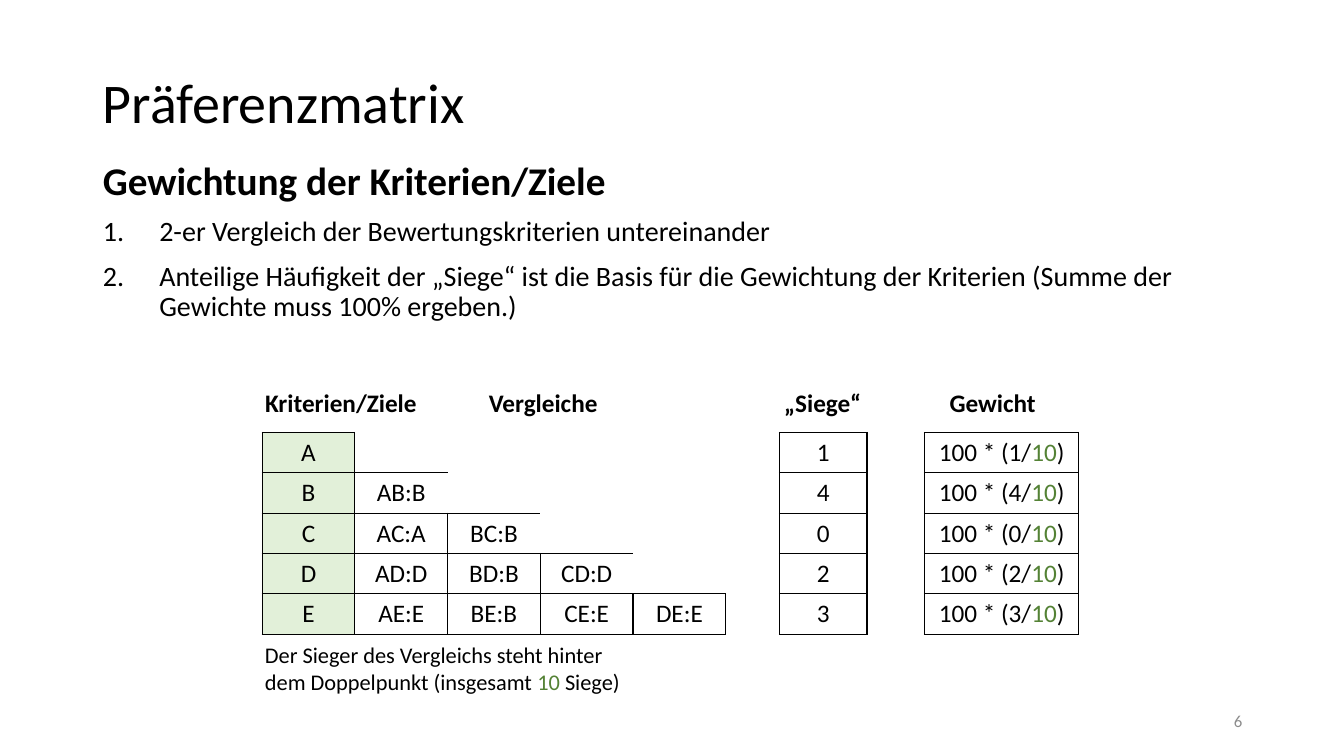
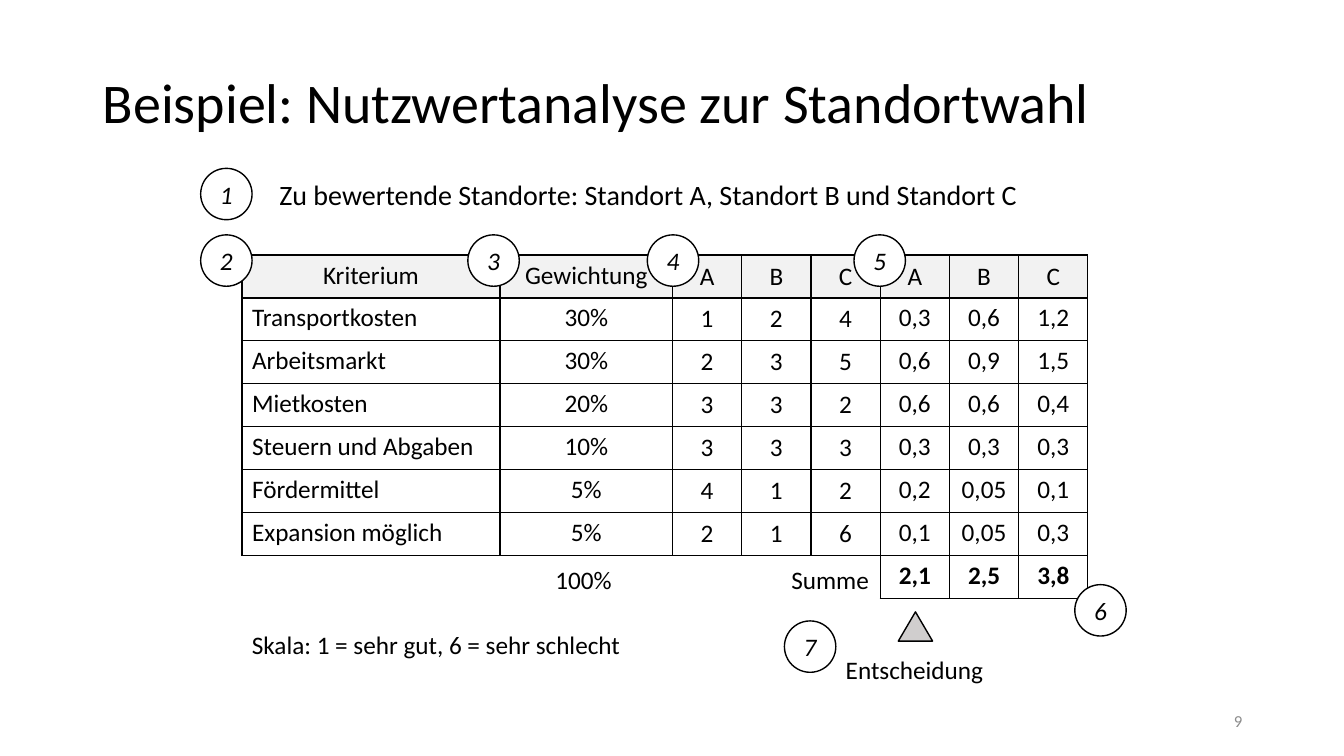
import pptx
import pptx.util
import pptx.dml.color
import pptx.enum.text
import pptx.enum.shapes
import pptx.oxml.ns
import lxml.etree

# ---- Content ----
MATRIX_TITLE = "Präferenzmatrix"
MATRIX_HEADING = "Gewichtung der Kriterien/Ziele"
MATRIX_STEPS = [
    "2-er Vergleich der Bewertungskriterien untereinander",
    "Anteilige Häufigkeit der „Siege“ ist die Basis für die Gewichtung der "
    "Kriterien (Summe der Gewichte muss 100% ergeben.)",
]
DUELS = [  # each criterion, then its comparisons with the ones above
    ["A"],
    ["B", "AB:B"],
    ["C", "AC:A", "BC:B"],
    ["D", "AD:D", "BD:B", "CD:D"],
    ["E", "AE:E", "BE:B", "CE:E", "DE:E"],
]
WINS = [1, 4, 0, 2, 3]
MATRIX_HEADS = [(2.53, 1.72, "Kriterien/Ziele"), (4.75, 1.29, "Vergleiche"),
                (7.68, 0.97, "„Siege“"), (9.32, 1.06, "Gewicht")]
# text between bars is highlighted
MATRIX_NOTE = "Der Sieger des Vergleichs steht hinter\ndem Doppelpunkt (insgesamt |10| Siege)"

SITE_TITLE = "Beispiel: Nutzwertanalyse zur Standortwahl"
SITE_INTRO = "Zu bewertende Standorte: Standort A, Standort B und Standort C"
SITES = ["A", "B", "C"]
CRITERIA = [  # name, weight, grades, weighted grades
    ("Transportkosten", "30%", ["1", "2", "4"], ["0,3", "0,6", "1,2"]),
    ("Arbeitsmarkt", "30%", ["2", "3", "5"], ["0,6", "0,9", "1,5"]),
    ("Mietkosten", "20%", ["3", "3", "2"], ["0,6", "0,6", "0,4"]),
    ("Steuern und Abgaben", "10%", ["3", "3", "3"], ["0,3", "0,3", "0,3"]),
    ("Fördermittel", "5%", ["4", "1", "2"], ["0,2", "0,05", "0,1"]),
    ("Expansion möglich", "5%", ["2", "1", "6"], ["0,1", "0,05", "0,3"]),
]
TOTALS = ["2,1", "2,5", "3,8"]
SITE_LABELS = [(5.41, 5.55, 0.77, "100%"), (7.75, 5.55, 0.98, "Summe"),
               (2.4, 6.19, 3.9, "Skala: 1 = sehr gut, 6 = sehr schlecht"),
               (8.29, 6.44, 1.6, "Entscheidung")]
STEP_MARKS = [(1.99, 1.67), (1.99, 2.33), (4.64, 2.33), (6.42, 2.33),
              (8.47, 2.33), (10.66, 5.8), (7.78, 6.16)]

# ---- Shared style ----
FONT = "Calibri"
BLACK, WHITE, GREY = "000000", "FFFFFF", "8C8C8C"
GREEN, PALE_GREEN = "548235", "E2F0D9"
HEAD_FILL, MARK_FILL = "F2F2F2", "D0CECE"
LEFT, WIDTH = 0.92, 11.5
inch, pt, qn = pptx.util.Inches, pptx.util.Pt, pptx.oxml.ns.qn
ALIGN = {"l": pptx.enum.text.PP_ALIGN.LEFT, "c": pptx.enum.text.PP_ALIGN.CENTER,
         "r": pptx.enum.text.PP_ALIGN.RIGHT}
ANCHOR = {"t": pptx.enum.text.MSO_ANCHOR.TOP, "m": pptx.enum.text.MSO_ANCHOR.MIDDLE}
SHAPE = pptx.enum.shapes.MSO_SHAPE


def rgb(color):
    return pptx.dml.color.RGBColor.from_string(color)


def place(sp, x, y, w, h):
    sp.left, sp.top, sp.width, sp.height = map(inch, (x, y, w, h))


def write(p, text, size=18, color=BLACK, bold=False, italic=False, align="l"):
    p.alignment = ALIGN[align]
    for k, piece in enumerate(text.split("|")):
        r = p.add_run()
        r.text = piece
        f = r.font
        f.name, f.size, f.bold, f.italic = FONT, pt(size), bold, italic
        f.color.rgb = rgb(GREEN if k % 2 else color)


def label(s, x, y, w, h, text, anchor="t", wrap=False, **fmt):
    tf = s.shapes.add_textbox(*map(inch, (x, y, w, h))).text_frame
    tf.word_wrap, tf.vertical_anchor = wrap, ANCHOR[anchor]
    for k, line in enumerate(text.split("\n")):
        write(tf.add_paragraph() if k else tf.paragraphs[0], line, **fmt)


def body_line(p, text, numbered=False, **fmt):
    write(p, text, **fmt)
    p.line_spacing, p.space_before = 0.9, pt(10)
    pPr = p._p.get_or_add_pPr()
    indent = inch(0.56) if numbered else 0
    pPr.set("marL", str(indent))
    pPr.set("indent", str(-indent))
    if numbered:
        lxml.etree.SubElement(pPr, qn("a:buAutoNum"), type="arabicPeriod")
    else:
        lxml.etree.SubElement(pPr, qn("a:buNone"))


def borders(cell, sides):
    tcPr = cell._tc.get_or_add_tcPr()
    for k, side in enumerate("LRTB"):
        ln = lxml.etree.Element(qn("a:ln" + side), w=str(pt(1)))
        if side in sides:
            fill = lxml.etree.SubElement(ln, qn("a:solidFill"))
            lxml.etree.SubElement(fill, qn("a:srgbClr"), val=BLACK)
        else:
            lxml.etree.SubElement(ln, qn("a:noFill"))
        tcPr.insert(k, ln)


def grid(s, x, y, col_w, row_h, rows, fill=lambda i, j: None, align=lambda i: "c",
         anchor=lambda i: "t", sides=lambda i, j: "LRTB", **fmt):
    n, m = len(rows), max(map(len, rows))
    table = s.shapes.add_table(n, m, *map(inch, (x, y, col_w * m, row_h * n))).table
    table.first_row = table.horz_banding = False
    for col in table.columns:
        col.width = inch(col_w)
    for i, row in enumerate(rows):
        table.rows[i].height = inch(row_h)
        for j in range(m):
            cell = table.cell(i, j)
            if fill(i, j):
                cell.fill.solid()
                cell.fill.fore_color.rgb = rgb(fill(i, j))
            else:
                cell.fill.background()
            borders(cell, sides(i, j))
            if j < len(row):
                cell.vertical_anchor = ANCHOR[anchor(i)]
                write(cell.text_frame.paragraphs[0], row[j], align=align(i), **fmt)
    return table


def outlined(s, kind, x, y, w, h, fill):
    sp = s.shapes.add_shape(kind, *map(inch, (x, y, w, h)))
    sp.shadow.inherit = False
    sp.fill.solid()
    sp.fill.fore_color.rgb = rgb(fill)
    sp.line.color.rgb, sp.line.width = rgb(BLACK), pt(1)
    return sp


prs = pptx.Presentation()
prs.slide_width, prs.slide_height = inch(13.33), inch(7.5)
layout = prs.slide_layouts[1]
place(layout.placeholders[0], LEFT, 0.6, WIDTH, 0.89)
place(layout.placeholders[1], LEFT, 1.55, WIDTH, 4.76)


def new_slide(title, number):
    s = prs.slides.add_slide(layout)
    tf = s.shapes.title.text_frame
    tf.vertical_anchor = ANCHOR["m"]
    write(tf.paragraphs[0], title, size=40)
    tf.paragraphs[0].line_spacing = 0.9
    label(s, 9.42, 6.95, 3, 0.4, str(number), anchor="m", wrap=True,
          size=12, color=GREY, align="r")
    body = s.placeholders[1]
    for ph in (s.shapes.title, body):
        ph.text_frame.auto_size = pptx.enum.text.MSO_AUTO_SIZE.NONE
    return s, body


# ---- Preference matrix ----
s, body = new_slide(MATRIX_TITLE, 6)
tf = body.text_frame
body_line(tf.paragraphs[0], MATRIX_HEADING, size=28, bold=True)
for step in MATRIX_STEPS:
    body_line(tf.add_paragraph(), step, numbered=True, size=20)

last = len(DUELS) - 1


def stair_sides(i, j):
    if j > i:  # open area above the staircase
        return "LB" if j == 1 else "B" if i in (0, j - 1) else ""
    return "LTB" if j == i and 0 < i < last else "LRTB"


TOP, ROW = 4.29, 0.4
matrix = grid(s, 2.6, TOP, 0.92, ROW, DUELS, sides=stair_sides,
              fill=lambda i, j: PALE_GREEN if j == 0 else None)
for j in range(2, last + 1):
    matrix.cell(0, j).merge(matrix.cell(j - 1, j))
grid(s, 7.73, TOP, 0.87, ROW, [[str(n)] for n in WINS])
grid(s, 9.17, TOP, 1.53, ROW, [[f"100 * ({n}/|{sum(WINS)}|)"] for n in WINS])
for x, w, head in MATRIX_HEADS:
    label(s, x, 3.79, w, 0.4, head, bold=True)
label(s, 2.53, 6.31, 3.76, 0.64, MATRIX_NOTE, size=16)

# ---- Site selection ----
s, body = new_slide(SITE_TITLE, 9)
place(body, 2.67, 1.75, 8.25, 0.65)
body_line(body.text_frame.paragraphs[0], SITE_INTRO, size=20)

names, weights, grades, scores = zip(*CRITERIA)
TOP, ROW, SITE_COL = 2.53, 2.98 / 7, 2.06 / 3


def head_fill(i, j):
    return None if i else HEAD_FILL


# adjoining blocks: column width, rows, alignment below the head, anchors
blocks = [
    (2.56, [["Kriterium"]] + [[n] for n in names], "l", "tt"),
    (1.71, [["Gewichtung"]] + [[w] for w in weights], "c", "tt"),
    (SITE_COL, [SITES, *grades], "c", "mm"),
    (SITE_COL, [SITES, *scores], "c", "mt"),
]
x = 2.4
for col_w, rows, align, anchors in blocks:
    grid(s, x, TOP, col_w, ROW, rows, fill=head_fill,
         align=lambda i: align if i else "c",
         anchor=lambda i: anchors[min(i, 1)])
    block_left = x
    x += col_w * len(rows[0])
grid(s, block_left, TOP + 7 * ROW, SITE_COL, ROW, [TOTALS], bold=True)

for x, y, w, text in SITE_LABELS:
    label(s, x, y, w, 0.4, text)
outlined(s, SHAPE.ISOSCELES_TRIANGLE, 8.91, 6.07, 0.34, 0.29, MARK_FILL)
for number, (x, y) in enumerate(STEP_MARKS, 1):
    tf = outlined(s, SHAPE.OVAL, x, y, 0.51, 0.51, WHITE).text_frame
    tf.vertical_anchor = ANCHOR["m"]
    write(tf.paragraphs[0], str(number), italic=True, align="c")

prs.save("out.pptx")
